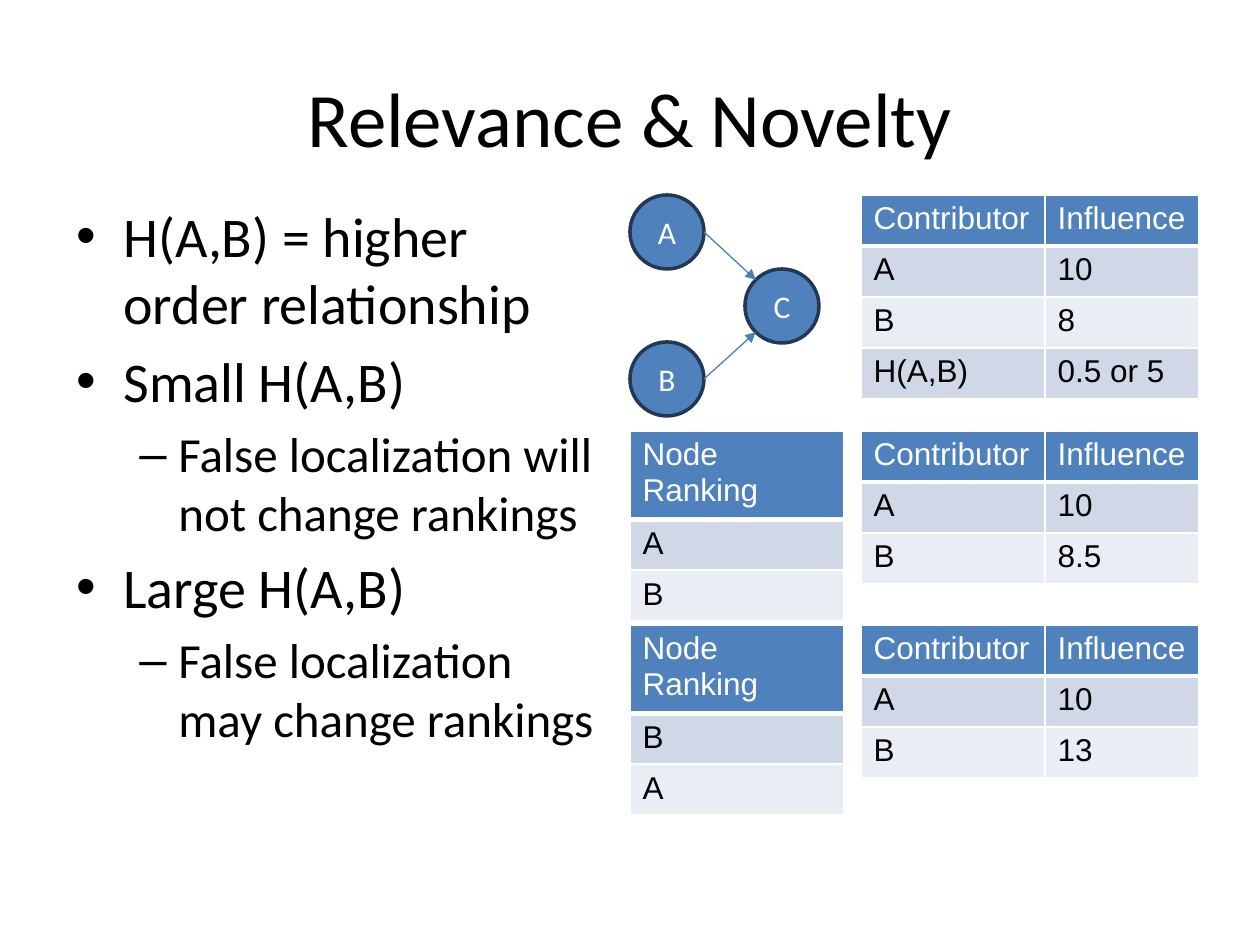
"""Build the Relevance & Novelty slide with its contributor graph and ranking tables."""
from math import sqrt
from typing import Any, NamedTuple

from lxml.etree import SubElement
from pptx import Presentation
from pptx.dml.color import RGBColor
from pptx.enum.shapes import MSO_CONNECTOR as Connector, MSO_SHAPE as Preset
from pptx.enum.text import MSO_ANCHOR as Anchor, PP_ALIGN as Align
from pptx.oxml.ns import qn
from pptx.util import Emu, Inches, Pt

PIXELS_PER_INCH = 126
BLUE, WHITE, BLACK = "4F81BD", "FFFFFF", "000000"
BANDS = ("D0D8E8", "E9EDF4")
NODE_SIZE, ROW_HEIGHT = 74, 51
RANKING_LEFT, INFLUENCE_LEFT = 630, 861
RANKING_WIDTHS, INFLUENCE_WIDTHS = (214,), (184, 154)
TOP, SMALL_TOP, LARGE_TOP = 195, 431, 625


class Node(NamedTuple):
    label: str
    left: int
    top: int


class Grid(NamedTuple):
    left: int
    top: int
    widths: tuple[int, ...]
    rows: tuple[tuple[str, ...], ...]


class Point(NamedTuple):
    text: str
    level: int = 0


class PointStyle(NamedTuple):
    bullet: str
    size: int
    margin: int
    hanging: int


RANKING_HEAD = ("Node Ranking",)
INFLUENCE_HEAD = ("Contributor", "Influence")
SOURCES = (Node("A", 630, 195), Node("B", 630, 342))
TARGET = Node("C", 745, 269)
GRIDS = (
    Grid(RANKING_LEFT, SMALL_TOP, RANKING_WIDTHS, (RANKING_HEAD, ("A",), ("B",))),
    Grid(INFLUENCE_LEFT, TOP, INFLUENCE_WIDTHS,
         (INFLUENCE_HEAD, ("A", "10"), ("B", "8"), ("H(A,B)", "0.5 or 5"))),
    Grid(INFLUENCE_LEFT, SMALL_TOP, INFLUENCE_WIDTHS,
         (INFLUENCE_HEAD, ("A", "10"), ("B", "8.5"))),
    Grid(RANKING_LEFT, LARGE_TOP, RANKING_WIDTHS, (RANKING_HEAD, ("B",), ("A",))),
    Grid(INFLUENCE_LEFT, LARGE_TOP, INFLUENCE_WIDTHS,
         (INFLUENCE_HEAD, ("A", "10"), ("B", "13"))),
)
POINTS = (
    Point("H(A,B) = higher order relationship"),
    Point("Small H(A,B)"),
    Point("False localization will not change rankings", 1),
    Point("Large H(A,B)"),
    Point("False localization may change rankings", 1),
)
POINT_STYLES = (PointStyle("•", 32, 47, 47), PointStyle("–", 28, 102, 39))


def px(length: float) -> Emu:
    """Turn picture pixels into EMU."""
    return Emu(round(length * Inches(1) / PIXELS_PER_INCH))


def color(value: str) -> RGBColor:
    """Turn a hex string into a colour."""
    return RGBColor.from_string(value)


def apply(target: Any, values: dict[str, Any]) -> None:
    """Set every attribute named in the format values."""
    for name, value in values.items():
        setattr(target, name, value)


def write(paragraph: Any, text: str, size: int, ink: str, face: str = "Calibri") -> None:
    """Put one formatted run into a paragraph."""
    run = paragraph.add_run()
    run.text = text
    apply(run.font, {"name": face, "size": Pt(size), "bold": False})
    run.font.color.rgb = color(ink)


def add_title(slide: Any, text: str) -> None:
    """Place and format the title."""
    title = slide.shapes.title
    apply(title, {"left": px(63), "top": px(38), "width": px(1134), "height": px(157)})
    title.text_frame.vertical_anchor = Anchor.MIDDLE
    paragraph = title.text_frame.paragraphs[0]
    paragraph.alignment = Align.CENTER
    write(paragraph, text, 44, BLACK)


def add_points(slide: Any) -> None:
    """Write the bulleted argument on the left."""
    frame = slide.shapes.add_textbox(px(64), px(195), px(549), px(712)).text_frame
    frame.word_wrap = True
    for index, point in enumerate(POINTS):
        style = POINT_STYLES[point.level]
        paragraph = frame.add_paragraph() if index else frame.paragraphs[0]
        apply(paragraph, {"level": point.level, "space_before": Pt(style.size * 0.2)})
        properties = paragraph._p.get_or_add_pPr()
        properties.set("marL", str(px(style.margin)))
        properties.set("indent", str(-px(style.hanging)))
        SubElement(properties, qn("a:buFont"), typeface="Arial")
        SubElement(properties, qn("a:buChar"), char=style.bullet)
        write(paragraph, point.text, style.size, BLACK)


def add_node(slide: Any, node: Node) -> None:
    """Draw one labelled graph node."""
    circle = slide.shapes.add_shape(
        Preset.OVAL, px(node.left), px(node.top), px(NODE_SIZE), px(NODE_SIZE))
    circle.shadow.inherit = False
    circle.fill.solid()
    circle.fill.fore_color.rgb = color(BLUE)
    circle.line.color.rgb = color("233953")
    circle.line.width = Pt(2)
    circle.text_frame.vertical_anchor = Anchor.MIDDLE
    paragraph = circle.text_frame.paragraphs[0]
    paragraph.alignment = Align.CENTER
    write(paragraph, node.label, 18, WHITE)


def add_arrow(slide: Any, source: Node, target: Node) -> None:
    """Link the right of a source to the nearest left diagonal of the target."""
    radius = NODE_SIZE / 2
    diagonal = radius / sqrt(2)
    side = -1 if source.top < target.top else 1
    arrow = slide.shapes.add_connector(
        Connector.STRAIGHT, px(source.left + NODE_SIZE), px(source.top + radius),
        px(target.left + radius - diagonal), px(target.top + radius + side * diagonal))
    arrow.line.color.rgb = color("4B7EBC")
    arrow.line.width = Pt(0.75)
    SubElement(arrow.line._get_or_add_ln(), qn("a:tailEnd"), type="triangle")
    SubElement(arrow._element.spPr, qn("a:effectLst"))


def add_borders(cell: Any, bottom: int) -> None:
    """Give a cell white borders, with its own bottom width in points."""
    properties = cell._tc.get_or_add_tcPr()
    for side, width in {"L": 1, "R": 1, "T": 1, "B": bottom}.items():
        border = SubElement(properties, qn(f"a:ln{side}"), w=str(Pt(width)))
        fill = SubElement(border, qn("a:solidFill"))
        SubElement(fill, qn("a:srgbClr"), val=WHITE)


def add_grid(slide: Any, grid: Grid) -> None:
    """Draw one table with a blue head and banded rows."""
    table = slide.shapes.add_table(
        len(grid.rows), len(grid.widths), px(grid.left), px(grid.top),
        px(sum(grid.widths)), px(ROW_HEIGHT * len(grid.rows))).table
    for column, width in zip(table.columns, grid.widths):
        column.width = px(width)
    for row_index, texts in enumerate(grid.rows):
        head = row_index == 0
        for column_index, text in enumerate(texts):
            cell = table.cell(row_index, column_index)
            add_borders(cell, 3 if head or row_index == 0 else 1)
            if row_index == 1:
                cell._tc.tcPr.find(qn("a:lnT")).set("w", str(Pt(3)))
            cell.fill.solid()
            cell.fill.fore_color.rgb = color(BLUE if head else BANDS[(row_index - 1) % 2])
            write(cell.text_frame.paragraphs[0], text, 18, WHITE if head else BLACK, "Arial")


def main() -> None:
    """Assemble and save the slide."""
    deck = Presentation()
    apply(deck, {"slide_width": Inches(10), "slide_height": Inches(7.5)})
    slide = deck.slides.add_slide(deck.slide_layouts[5])
    add_title(slide, "Relevance & Novelty")
    add_points(slide)
    for node in (*SOURCES, TARGET):
        add_node(slide, node)
    for source in SOURCES:
        add_arrow(slide, source, TARGET)
    for grid in GRIDS:
        add_grid(slide, grid)
    deck.save("out.pptx")


main()
